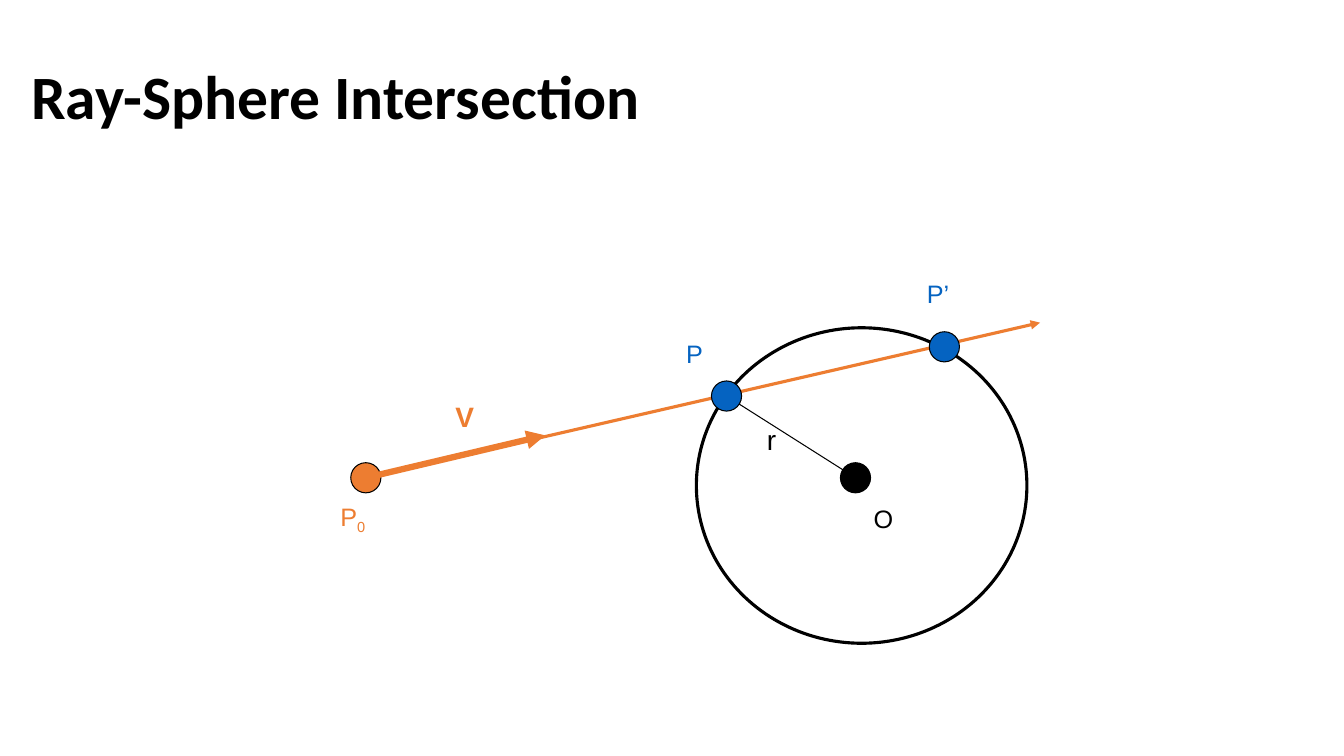
"""Build the ray-sphere intersection slide."""
from lxml.etree import SubElement
from pptx import Presentation
from pptx.dml.color import RGBColor
from pptx.enum.shapes import MSO_CONNECTOR as CONN, MSO_SHAPE as SHAPE
from pptx.enum.text import MSO_ANCHOR as ANCHOR, MSO_AUTO_SIZE as FIT, PP_ALIGN as ALIGN
from pptx.oxml.ns import qn
from pptx.util import Cm, Pt

BLACK, ORANGE, BLUE = "000000", "ED7D31", "0563C1"


def paint(fmt, color):
    fmt.solid()
    fmt.fore_color.rgb = RGBColor.from_string(color)


def add_text(p, text, size=18, font="Arial", color=BLACK, bold=False, baseline=None):
    r = p.add_run()
    r.text = text
    r.font.size, r.font.name, r.font.bold = Pt(size), font, bold
    paint(r.font.fill, color)
    if baseline:
        r.font._element.set("baseline", str(baseline * 1000))


class Diagram:
    dot_size = 0.76

    def __init__(self, slide):
        self.slide = slide
        self.shapes = slide.shapes

    def title(self, text):
        sp = self.shapes.title
        sp.left, sp.top, sp.width, sp.height = Cm(0.53), Cm(0.61), Cm(22.86), Cm(3.81)
        tf = sp.text_frame
        tf.auto_size, tf.vertical_anchor = FIT.NONE, ANCHOR.MIDDLE
        p = tf.paragraphs[0]
        p.alignment, p.line_spacing = ALIGN.LEFT, 0.9
        add_text(p, text, size=44, font="Calibri", bold=True)

    def ellipse(self, x, y, w, h, fill=None, weight=0.75):
        sp = self.shapes.add_shape(SHAPE.OVAL, Cm(x), Cm(y), Cm(w), Cm(h))
        sp.shadow.inherit = False
        if fill:
            paint(sp.fill, fill)
        else:
            sp.fill.background()
        paint(sp.line.fill, BLACK)
        sp.line.width = Pt(weight)

    def dot(self, center, color):
        d = self.dot_size
        self.ellipse(center[0] - d / 2, center[1] - d / 2, d, d, fill=color)

    def line(self, start, end, color=BLACK, weight=0.75, arrow=False):
        ends = [Cm(v) for v in (*start, *end)]
        cn = self.shapes.add_connector(CONN.STRAIGHT, *ends)
        paint(cn.line.fill, color)
        cn.line.width = Pt(weight)
        if arrow:
            SubElement(cn.line._get_or_add_ln(), qn("a:tailEnd"), type="triangle")
        SubElement(cn._element.spPr, qn("a:effectLst"))

    def label(self, text, x, y, w, h=1.02, sub=None, **style):
        tf = self.shapes.add_textbox(Cm(x), Cm(y), Cm(w), Cm(h)).text_frame
        tf.word_wrap, tf.auto_size = False, FIT.SHAPE_TO_FIT_TEXT
        p = tf.paragraphs[0]
        add_text(p, text, **style)
        if sub:
            add_text(p, sub, baseline=-25, **style)


def main():
    prs = Presentation()
    prs.slide_width, prs.slide_height = Cm(33.87), Cm(19.05)
    d = Diagram(prs.slides.add_slide(prs.slide_layouts[5]))
    origin, center = (9.22, 12.04), (21.56, 12.04)
    entry, leave = (18.31, 9.98), (23.8, 8.74)

    d.title("Ray-Sphere Intersection")
    d.ellipse(17.55, 8.26, 8.33, 7.95, weight=2.25)
    d.dot(origin, ORANGE)
    d.line(origin, (26.21, 8.13), ORANGE, 2.25, arrow=True)
    d.dot(center, BLACK)
    d.line(origin, (13.74, 10.97), ORANGE, 4.5, arrow=True)
    d.line(entry, center)
    for point in (entry, leave):
        d.dot(point, BLUE)

    d.label("P", 8.33, 12.5, 1.17, sub="0", color=ORANGE)
    d.label("V", 11.23, 9.93, 0.99, 1.09, size=20, color=ORANGE, bold=True)
    d.label("O", 21.77, 12.57, 1.02)
    d.label("P", 17.04, 8.41, 0.94, color=BLUE)
    d.label("r", 19.08, 10.52, 0.74, 1.09, size=20)
    d.label("P’", 23.11, 6.88, 1.09, color=BLUE)
    prs.save("out.pptx")


if __name__ == "__main__":
    main()
